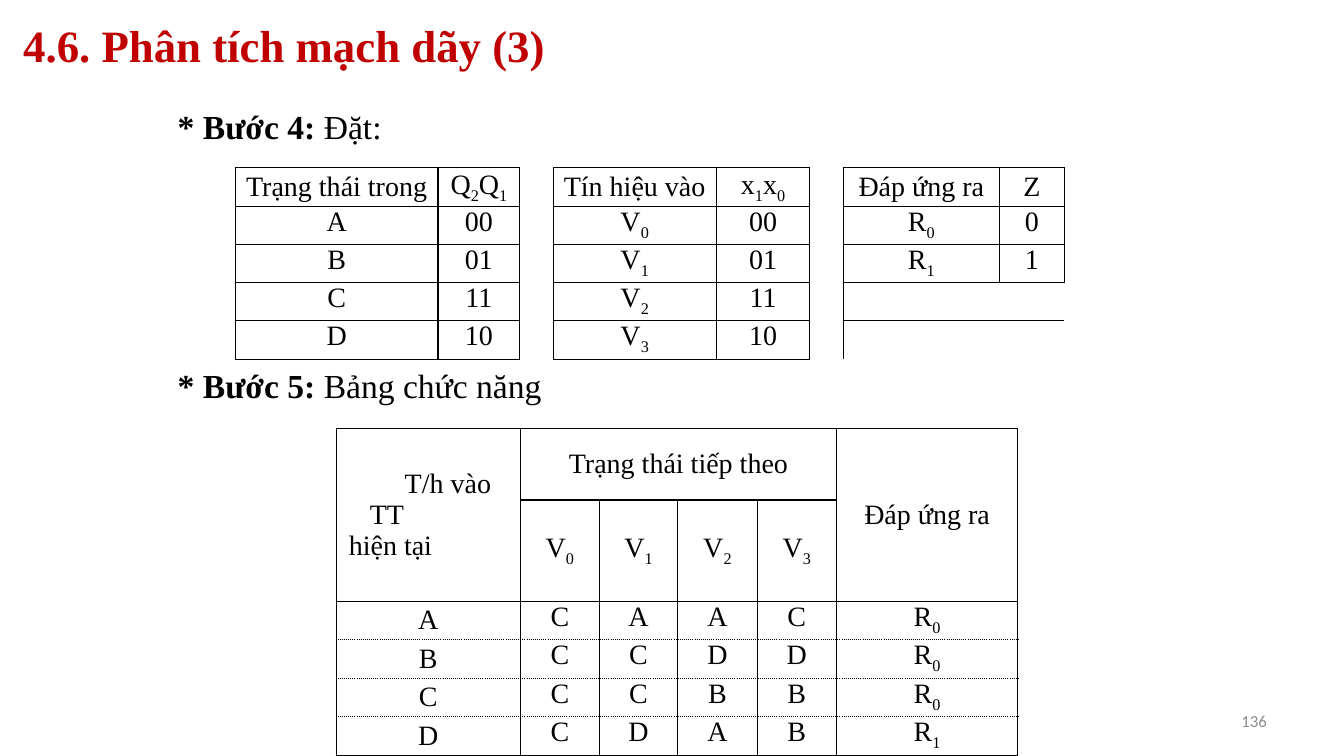
from lxml import etree
from pptx import Presentation
from pptx.dml.color import RGBColor
from pptx.enum.text import MSO_ANCHOR, PP_ALIGN
from pptx.oxml.ns import qn
from pptx.util import Cm, Pt

LEFT, CENTER, RIGHT = PP_ALIGN.LEFT, PP_ALIGN.CENTER, PP_ALIGN.RIGHT
TOP, MIDDLE = MSO_ANCHOR.TOP, MSO_ANCHOR.MIDDLE
COLORS = {"title": "C00000", "text": "000000", "number": "8C8C8C"}
SERIF = "Times New Roman"
PLAIN_TABLE_STYLE = "{2D5ABB26-0587-4C30-8999-92F81FD0307C}"
SIDES = ("L", "R", "T", "B")

CODING_COLS = [5.11, 2.06, 0.84, 4.11, 2.36, 0.84, 3.94, 1.63]
CODING = [
    ["Trạng thái trong", "Q_2Q_1", "", "Tín hiệu vào", "x_1x_0", "", "Đáp ứng ra", "Z"],
    ["A", "00", "", "V_0", "00", "", "R_0", "0"],
    ["B", "01", "", "V_1", "01", "", "R_1", "1"],
    ["C", "11", "", "V_2", "11", "", "", ""],
    ["D", "10", "", "V_3", "10", "", "", ""],
]
FUNCTION_COLS = [4.65, 1.98, 1.98, 2, 2, 4.57]
FUNCTION_ROWS = [1.8, 2.55] + [0.97] * 4
FUNCTION = [
    ["", "Trạng thái tiếp theo", "", "", "", "Đáp ứng ra"],
    ["", "V_0", "V_1", "V_2", "V_3", ""],
    ["A", "C", "A", "A", "C", "R_0"],
    ["B", "C", "C", "D", "D", "R_0"],
    ["C", "C", "C", "B", "B", "R_0"],
    ["D", "C", "D", "A", "B", "R_1"],
]
CORNER = [("T/h vào", 1.41), ("TT", 0.53), ("hiện tại", 0)]


def add_run(p, text, size, color="text", bold=False, font=SERIF, sub=False):
    r = p.add_run()
    r.text = text
    r.font.size = Pt(size)
    r.font.name = font
    r.font.bold = bold
    r.font.color.rgb = RGBColor.from_string(COLORS[color])
    if sub:
        r.font._element.set("baseline", "-25000")


def add_symbols(p, text):
    """Write text in which the character after each underscore is a subscript."""
    base, *parts = text.split("_")
    add_run(p, base, 20)
    for part in parts:
        add_run(p, part[0], 20, sub=True)
        if part[1:]:
            add_run(p, part[1:], 20)


def add_text(slide, left, top, width, height):
    tf = slide.shapes.add_textbox(Cm(left), Cm(top), Cm(width), Cm(height)).text_frame
    tf.word_wrap = True
    return tf


def add_step(slide, top, label, text):
    p = add_text(slide, 4.23, top, 11.6, 1.28).paragraphs[0]
    add_run(p, label, 24, bold=True)
    add_run(p, text, 24)


def set_borders(cell, dashes):
    """Draw the sides named in dashes, a dict of side to dash style."""
    tcPr = cell._tc.get_or_add_tcPr()
    for i, side in enumerate(s for s in SIDES if s in dashes):
        ln = etree.Element(qn("a:ln" + side), w=str(Pt(1)))
        fill = etree.SubElement(ln, qn("a:solidFill"))
        etree.SubElement(fill, qn("a:srgbClr"), val=COLORS["text"])
        etree.SubElement(ln, qn("a:prstDash"), val=dashes[side])
        tcPr.insert(i, ln)


def add_table(slide, left, top, cols, rows, data, inset, middle):
    """Build a plain centred table; middle(r, c) tells which cells are anchored midway."""
    frame = slide.shapes.add_table(len(rows), len(cols), Cm(left), Cm(top),
                                   Cm(sum(cols)), Cm(sum(rows)))
    table = frame.table
    table.first_row = table.horz_banding = False
    table._tbl.tblPr.find(qn("a:tableStyleId")).text = PLAIN_TABLE_STYLE
    for col, width in zip(table.columns, cols):
        col.width = Cm(width)
    for r, (row, height) in enumerate(zip(table.rows, rows)):
        row.height = Cm(height)
        for c, cell in enumerate(row.cells):
            cell.fill.background()
            cell.margin_left = cell.margin_right = Cm(inset)
            cell.margin_top = cell.margin_bottom = 0
            cell.vertical_anchor = MIDDLE if middle(r, c) else TOP
            p = cell.text_frame.paragraphs[0]
            p.alignment = CENTER
            if data[r][c]:
                add_symbols(p, data[r][c])
            else:
                p.font.size = Pt(20)
    return table


def add_coding_table(slide):
    table = add_table(slide, 5.93, 4.23, CODING_COLS, [0.9] * 5, CODING, 0.18,
                      lambda r, c: r == 0)

    def filled(r, c):
        return 0 <= r < len(CODING) and 0 <= c < len(CODING_COLS) and CODING[r][c] != ""

    for r in range(len(CODING)):
        for c in range(len(CODING_COLS)):
            beside = {"L": (r, c - 1), "R": (r, c + 1), "T": (r - 1, c), "B": (r + 1, c)}
            set_borders(table.cell(r, c), {side: "solid" for side, near in beside.items()
                                           if filled(r, c) or filled(*near)})


def add_function_table(slide):
    table = add_table(slide, 8.47, 10.8, FUNCTION_COLS, FUNCTION_ROWS, FUNCTION, 0.32,
                      lambda r, c: r < 2 or c == 0)
    last = len(FUNCTION) - 1
    for r in range(len(FUNCTION)):
        dashes = dict.fromkeys(SIDES, "solid")
        if r > 2:
            dashes["T"] = "sysDot"
        if 2 <= r < last:
            dashes["B"] = "sysDot"
        for c in range(len(FUNCTION_COLS)):
            set_borders(table.cell(r, c), dashes)
    table.cell(0, 0).merge(table.cell(1, 0))
    table.cell(0, 1).merge(table.cell(0, 4))
    table.cell(0, 5).merge(table.cell(1, 5))

    tf = table.cell(0, 0).text_frame
    for i, (text, indent) in enumerate(CORNER):
        p = tf.add_paragraph() if i else tf.paragraphs[0]
        p.alignment = LEFT
        p._p.get_or_add_pPr().set("marL", str(Cm(indent)))
        add_run(p, text, 20)


def add_title(slide, text):
    sp = slide.shapes.title
    sp.left, sp.top, sp.width, sp.height = Cm(0.33), Cm(0.13), Cm(32.82), Cm(1.98)
    sp.text_frame.vertical_anchor = MIDDLE
    p = sp.text_frame.paragraphs[0]
    p.alignment = LEFT
    add_run(p, text, 32, "title", bold=True)


def add_page_number(slide, number):
    tf = add_text(slide, 24.28, 17.65, 7.9, 1.02)
    tf.vertical_anchor = MIDDLE
    p = tf.paragraphs[0]
    p.alignment = RIGHT
    add_run(p, number, 12, "number", font="Calibri")


def main():
    prs = Presentation()
    prs.slide_width, prs.slide_height = Cm(33.87), Cm(19.05)
    slide = prs.slides.add_slide(prs.slide_layouts[5])
    add_title(slide, "4.6. Phân tích mạch dãy (3)")
    add_step(slide, 2.54, "* Bước 4:", " Đặt:")
    add_coding_table(slide)
    add_step(slide, 9.07, "* Bước 5:", " Bảng chức năng")
    add_function_table(slide)
    add_page_number(slide, "136")
    prs.save("out.pptx")


if __name__ == "__main__":
    main()
